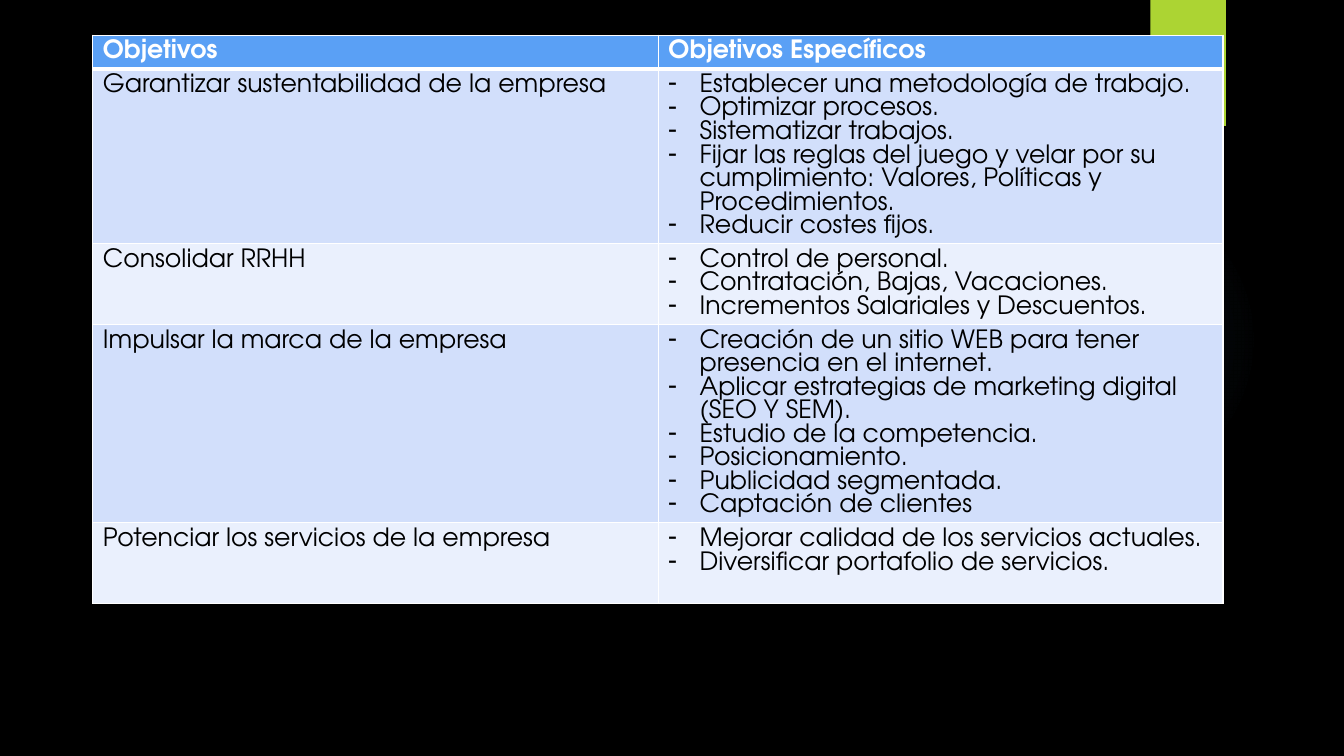
"""Build the slide of company goals and their specific goals."""
from dataclasses import dataclass

from pptx import Presentation
from pptx.dml.color import RGBColor
from pptx.enum.shapes import MSO_SHAPE
from pptx.oxml import parse_xml
from pptx.oxml.ns import nsdecls
from pptx.util import Inches, Pt


@dataclass(frozen=True)
class Theme:
    back: str = "000000"
    glow: str = "7AC4F0"
    tab: str = "ACD433"
    head: str = "5AA0F5"
    bands: tuple = ("D2DFFB", "EAF0FD")
    light: str = "FFFFFF"
    dark: str = "000000"
    font: str = "TeX Gyre Adventor"
    size: int = 18


THEME = Theme()
HEADS = ("Objetivos", "Objetivos Específicos")
GOALS = [
    ("Garantizar sustentabilidad de la empresa", [
        "Establecer una metodología de trabajo.",
        "Optimizar procesos.",
        "Sistematizar trabajos.",
        "Fijar las reglas del juego y velar por su cumplimiento: "
        "Valores, Políticas y Procedimientos.",
        "Reducir costes fijos."]),
    ("Consolidar RRHH", [
        "Control de personal.",
        "Contratación, Bajas, Vacaciones.",
        "Incrementos Salariales y Descuentos."]),
    ("Impulsar la marca de la empresa", [
        "Creación de un sitio WEB para tener presencia en el internet.",
        "Aplicar estrategias de marketing digital (SEO Y SEM).",
        "Estudio de la competencia.",
        "Posicionamiento.",
        "Publicidad segmentada.",
        "Captación de clientes"]),
    ("Potenciar los servicios de la empresa", [
        "Mejorar calidad de los servicios actuales.",
        "Diversificar portafolio de servicios."]),
]
WIDTHS = (5.61, 5.6)
HEIGHTS = (0.33, 1.73, 0.8, 1.97, 0.8)
INDENT = Inches(0.31)
GLOW = ((0, 7), (36, 6), (69, 0))


def color(code):
    return RGBColor.from_string(code)


def add_shape(slide, kind, box, code):
    shape = slide.shapes.add_shape(kind, *map(Inches, box))
    shape.shadow.inherit = False
    shape.fill.solid()
    shape.fill.fore_color.rgb = color(code)
    shape.line.fill.background()
    return shape


def add_glow(shape):
    stops = "".join(
        f'<a:gs pos="{pos * 1000}"><a:srgbClr val="{THEME.glow}">'
        f'<a:alpha val="{alpha * 1000}"/></a:srgbClr></a:gs>'
        for pos, alpha in GLOW)
    fill = parse_xml(
        f'<a:gradFill {nsdecls("a")}><a:gsLst>{stops}</a:gsLst>'
        '<a:path path="circle"><a:fillToRect l="50000" t="50000" '
        'r="50000" b="50000"/></a:path></a:gradFill>')
    props = shape.element.spPr
    props.replace(props.find("{*}solidFill"), fill)


def add_edges(cell, top, base):
    props = cell._tc.get_or_add_tcPr()
    for spot, (side, width) in enumerate(zip("LRTB", (1, 1, top, base))):
        props.insert(spot, parse_xml(
            f'<a:ln{side} {nsdecls("a")} w="{Pt(width)}"><a:solidFill>'
            f'<a:srgbClr val="{THEME.light}"/></a:solidFill></a:ln{side}>'))


def add_dash(para):
    props = para._p.get_or_add_pPr()
    props.set("marL", str(INDENT))
    props.set("indent", str(-INDENT))
    props.append(parse_xml(f'<a:buChar {nsdecls("a")} char="-"/>'))


def fill_cell(cell, text, row, dashed):
    head = row == 0
    cell.fill.solid()
    cell.fill.fore_color.rgb = color(
        THEME.head if head else THEME.bands[(row - 1) % 2])
    add_edges(cell, 3 if row == 1 else 1, 3 if head else 1)
    cell.text_frame.text = text
    for para in cell.text_frame.paragraphs:
        if dashed:
            add_dash(para)
        for run in para.runs:
            font = run.font
            font.name, font.size, font.bold = THEME.font, Pt(THEME.size), head
            font.color.rgb = color(THEME.light if head else THEME.dark)


def add_goals(slide):
    rows = [HEADS] + [(goal, "\n".join(steps)) for goal, steps in GOALS]
    table = slide.shapes.add_table(
        len(rows), len(HEADS), Inches(0.92), Inches(0.35),
        Inches(sum(WIDTHS)), Inches(sum(HEIGHTS))).table
    for col, width in zip(table.columns, WIDTHS):
        col.width = Inches(width)
    for line, height in zip(table.rows, HEIGHTS):
        line.height = Inches(height)
    for row, texts in enumerate(rows):
        for col, text in enumerate(texts):
            fill_cell(table.cell(row, col), text, row, row > 0 and col == 1)


def main():
    deck = Presentation()
    deck.slide_width, deck.slide_height = Inches(13.33), Inches(7.5)
    slide = deck.slides.add_slide(deck.slide_layouts[6])
    slide.background.fill.solid()
    slide.background.fill.fore_color.rgb = color(THEME.back)
    add_glow(add_shape(slide, MSO_SHAPE.OVAL, (9.41, 1.83, 3.08, 3.08),
                       THEME.glow))
    add_shape(slide, MSO_SHAPE.RECTANGLE, (11.41, 0, 0.75, 1.25), THEME.tab)
    add_goals(slide)
    deck.save("out.pptx")


main()
